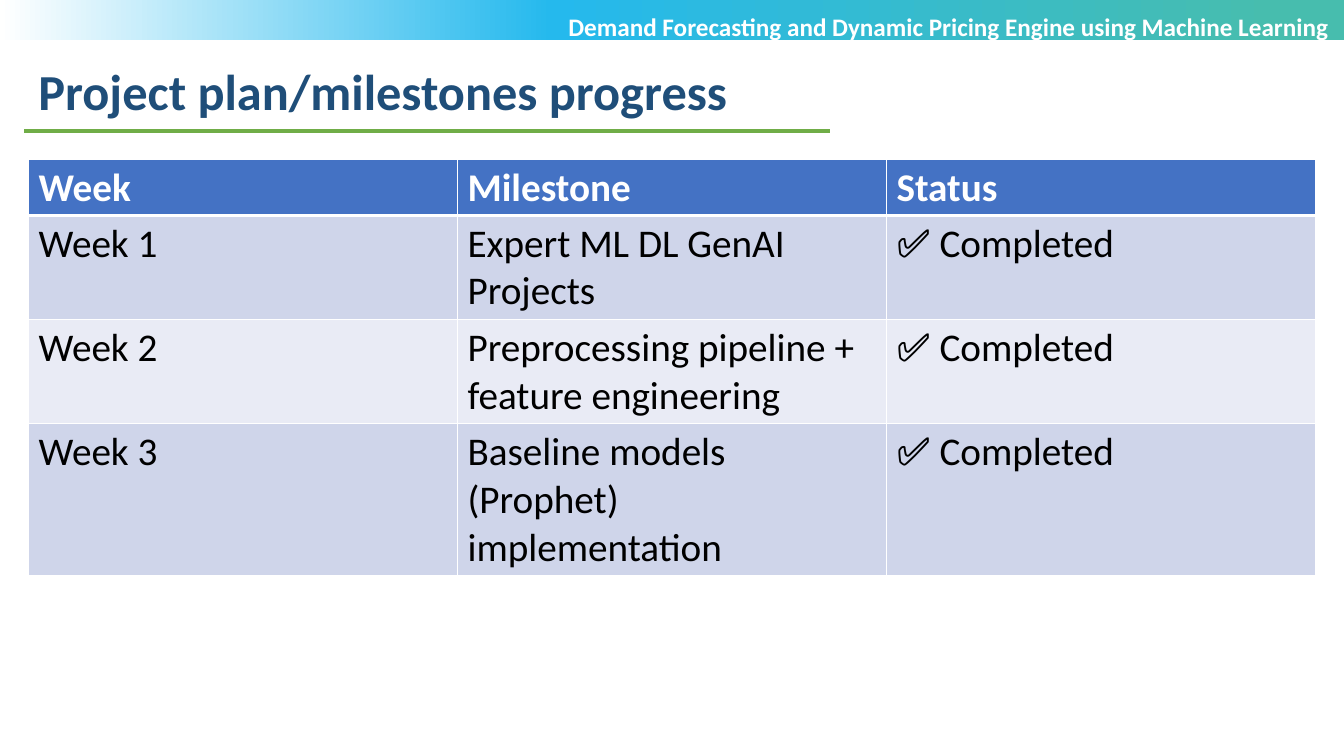
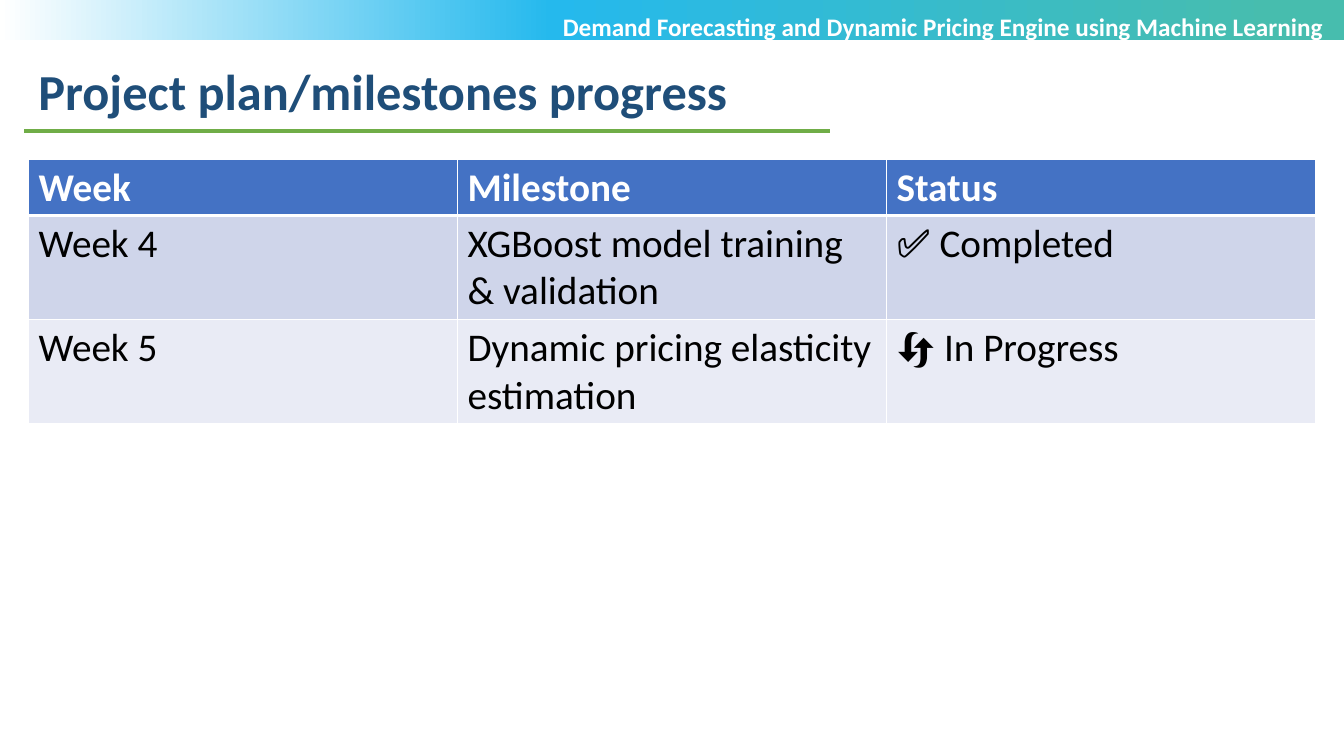
from copy import deepcopy

from lxml.etree import SubElement
from pptx import Presentation
from pptx.dml.color import RGBColor
from pptx.enum.shapes import MSO_CONNECTOR, MSO_SHAPE
from pptx.enum.text import MSO_ANCHOR, MSO_AUTO_SIZE, PP_ALIGN
from pptx.oxml.ns import qn
from pptx.util import Pt

WHITE = RGBColor(0xFF, 0xFF, 0xFF)
BLACK = RGBColor(0x00, 0x00, 0x00)
NAVY = RGBColor(0x1F, 0x4E, 0x79)
GREEN = RGBColor(0x70, 0xAD, 0x47)
TEAL = RGBColor(0x47, 0xBD, 0xAE)
SKY = RGBColor(0x25, 0xB9, 0xED)
HEADER_BLUE = RGBColor(0x44, 0x72, 0xC4)
ROW_FILLS = [RGBColor(0xE9, 0xEB, 0xF5), RGBColor(0xCF, 0xD5, 0xEA)]

SLIDE_WIDTH = 960
TABLE_WIDTH = 919.2
BAND_STOPS = [(0.05, TEAL), (0.59, SKY), (1, WHITE)]
PROJECT = "Demand Forecasting and Dynamic Pricing Engine using Machine Learning"
TITLE = "Project plan/milestones progress"
HEADINGS = ("Week", "Milestone", "Status")
DONE = "✅ Completed"

# Each slide: left edge of the project name, milestones, row heights
PLAN = [
    (395.2,
     [("Week 1", "Expert ML DL GenAI Projects", DONE),
      ("Week 2", "Preprocessing pipeline + feature engineering", DONE),
      ("Week 3", "Baseline models (Prophet) implementation", DONE)],
     [40, 74.4, 74.4, 108.6]),
    (387.3,
     [("Week 4", "XGBoost model training & validation", DONE),
      ("Week 5", "Dynamic pricing elasticity estimation", "🔄 In Progress")],
     [40, 74.4, 74.4]),
]


def write(frame, text, size, color, bold=False, align=PP_ALIGN.LEFT):
    frame.word_wrap = True
    paragraph = frame.paragraphs[0]
    paragraph.alignment = align
    run = paragraph.add_run()
    run.text = text
    run.font.name = "Calibri"
    run.font.size = Pt(size)
    run.font.bold = bold
    run.font.color.rgb = color


def add_borders(cell, top, bottom):
    """Draw white cell borders; top and bottom are widths in points."""
    properties = cell._tc.get_or_add_tcPr()
    for side, width in (("L", 1), ("R", 1), ("T", top), ("B", bottom)):
        border = SubElement(properties, qn(f"a:ln{side}"), w=str(Pt(width)))
        fill = SubElement(border, qn("a:solidFill"))
        SubElement(fill, qn("a:srgbClr"), val=str(WHITE))


prs = Presentation()
prs.slide_width = Pt(SLIDE_WIDTH)
prs.slide_height = Pt(540)

for project_left, milestones, row_heights in PLAN:
    slide = prs.slides.add_slide(prs.slide_layouts[5])

    band = slide.shapes.add_shape(MSO_SHAPE.RECTANGLE, 0, 0, Pt(SLIDE_WIDTH), Pt(28.8))
    band.shadow.inherit = False
    band.line.fill.background()
    band.fill.gradient()
    band.fill.gradient_angle = 180
    stop_list = band.element.spPr.find(qn("a:gradFill")).find(qn("a:gsLst"))
    stop_list.append(deepcopy(stop_list[0]))
    for stop, (position, color) in zip(band.fill.gradient_stops, BAND_STOPS):
        stop.position = position
        stop.color.rgb = color

    title = slide.shapes.title
    title.left, title.top, title.width, title.height = Pt(20.2), Pt(39.6), Pt(836.6), Pt(51.1)
    title.text_frame.auto_size = MSO_AUTO_SIZE.NONE
    title.text_frame.vertical_anchor = MSO_ANCHOR.TOP
    write(title.text_frame, TITLE, size=36, color=NAVY, bold=True)

    rule = slide.shapes.add_connector(
        MSO_CONNECTOR.STRAIGHT, Pt(17.3), Pt(93.6), Pt(592.6), Pt(93.6))
    rule.line.color.rgb = GREEN
    rule.line.width = Pt(2.25)
    SubElement(rule.element.spPr, qn("a:effectLst"))

    project = slide.shapes.add_textbox(
        Pt(project_left), Pt(4.3), Pt(SLIDE_WIDTH - project_left), Pt(29))
    write(project.text_frame, PROJECT, size=18, color=WHITE, bold=True,
          align=PP_ALIGN.CENTER)

    rows = [HEADINGS, *milestones]
    table = slide.shapes.add_table(
        len(rows), len(HEADINGS), Pt(20.4), Pt(114), Pt(TABLE_WIDTH),
        Pt(sum(row_heights))).table
    for column in table.columns:
        column.width = Pt(TABLE_WIDTH / len(HEADINGS))
    for r, (row, height) in enumerate(zip(rows, row_heights)):
        table.rows[r].height = Pt(height)
        is_header = r == 0
        for c, text in enumerate(row):
            cell = table.cell(r, c)
            cell.margin_top = cell.margin_bottom = Pt(3)
            add_borders(cell, top=3 if r == 1 else 1, bottom=3 if is_header else 1)
            cell.fill.solid()
            cell.fill.fore_color.rgb = HEADER_BLUE if is_header else ROW_FILLS[r % 2]
            write(cell.text_frame, text, size=28, bold=is_header,
                  color=WHITE if is_header else BLACK)

prs.save("out.pptx")
